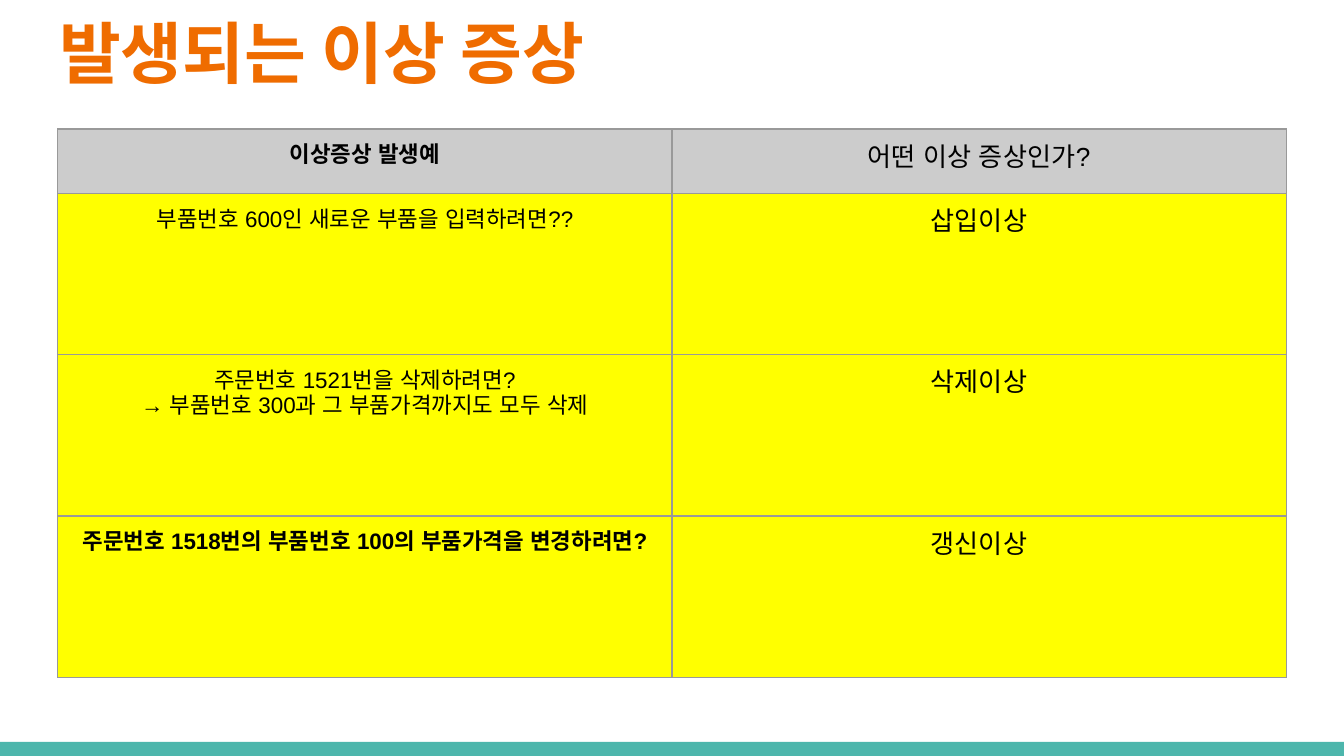
from dataclasses import dataclass

from lxml.etree import SubElement as Sub
from pptx import Presentation
from pptx.dml.color import RGBColor as Rgb
from pptx.enum.shapes import MSO_SHAPE as Kind
from pptx.enum.text import MSO_ANCHOR as Anchor, PP_ALIGN as Align
from pptx.oxml.ns import qn
from pptx.util import Inches, Pt


@dataclass
class Row:
    left: str
    right: str
    fill: str = "FFFF00"
    bold: bool = False
    high: float = 1.2


ROWS = [
    Row("이상증상 발생예", "어떤 이상 증상인가?", "CCCCCC", True, 0.48),
    Row("부품번호 600인 새로운 부품을 입력하려면??", "삽입이상"),
    Row("주문번호 1521번을 삭제하려면?\n→ 부품번호 300과 그 부품가격까지도 모두 삭제", "삭제이상"),
    Row("주문번호 1518번의 부품번호 100의 부품가격을 변경하려면?", "갱신이상", bold=True),
]


def paint(item, color: str) -> None:
    item.fill.solid()
    item.fill.fore_color.rgb = Rgb.from_string(color)


def write(frame, text: str, *, size: float, font="Arial", color="000000",
          bold=False, align=Align.CENTER) -> None:
    frame.text = text
    for para in frame.paragraphs:
        para.alignment = align
        for run in para.runs:
            run.font.name = font
            run.font.size = Pt(size)
            run.font.bold = bold
            run.font.color.rgb = Rgb.from_string(color)
            for tag in ("a:ea", "a:cs"):
                Sub(run.font._element, qn(tag), typeface=font)


def inset(item) -> None:
    item.margin_left = item.margin_right = Inches(0.1)
    item.margin_top = item.margin_bottom = Inches(0.1)


def edge(cell, color: str, width: float) -> None:
    props = cell._tc.get_or_add_tcPr()
    for side in ("a:lnL", "a:lnR", "a:lnT", "a:lnB"):
        line = Sub(props, qn(side), w=str(Pt(width)))
        Sub(Sub(line, qn("a:solidFill")), qn("a:srgbClr"), val=color)


def draw_cell(cell, text: str, fill: str, size: float, bold: bool) -> None:
    inset(cell)
    cell.vertical_anchor = Anchor.TOP
    write(cell.text_frame, text, size=size, bold=bold)
    edge(cell, "999999", 0.75)
    paint(cell, fill)


def draw_table(slide, rows: list[Row]) -> None:
    wide, high = 9.14, sum(row.high for row in rows)
    table = slide.shapes.add_table(
        len(rows), 2, Inches(0.43), Inches(0.96), Inches(wide), Inches(high)).table
    for col in table.columns:
        col.width = Inches(wide / 2)
    for i, row in enumerate(rows):
        table.rows[i].height = Inches(row.high)
        draw_cell(table.cell(i, 0), row.left, row.fill, 12, row.bold)
        draw_cell(table.cell(i, 1), row.right, row.fill, 14, False)


def draw_title(slide, text: str) -> None:
    title = slide.shapes.title
    title.left, title.top = Inches(0.34), Inches(0)
    title.width, title.height = Inches(9.32), Inches(0.77)
    frame = title.text_frame
    inset(frame)
    frame.word_wrap = True
    frame.vertical_anchor = Anchor.MIDDLE
    write(frame, text, size=36, font="Arial Narrow", color="EF6C00",
          bold=True, align=Align.LEFT)


def draw_bar(slide) -> None:
    bar = slide.shapes.add_shape(
        Kind.RECTANGLE, Inches(0), Inches(5.52), Inches(10), Inches(0.11))
    bar.shadow.inherit = False
    paint(bar, "4DB6AC")
    bar.line.fill.background()


def main() -> None:
    deck = Presentation()
    deck.slide_width, deck.slide_height = Inches(10), Inches(10 * 9 / 16)
    slide = deck.slides.add_slide(deck.slide_layouts[5])
    paint(slide.background, "FFFFFF")
    draw_bar(slide)
    draw_title(slide, "발생되는 이상 증상")
    draw_table(slide, ROWS)
    deck.save("out.pptx")


if __name__ == "__main__":
    main()
